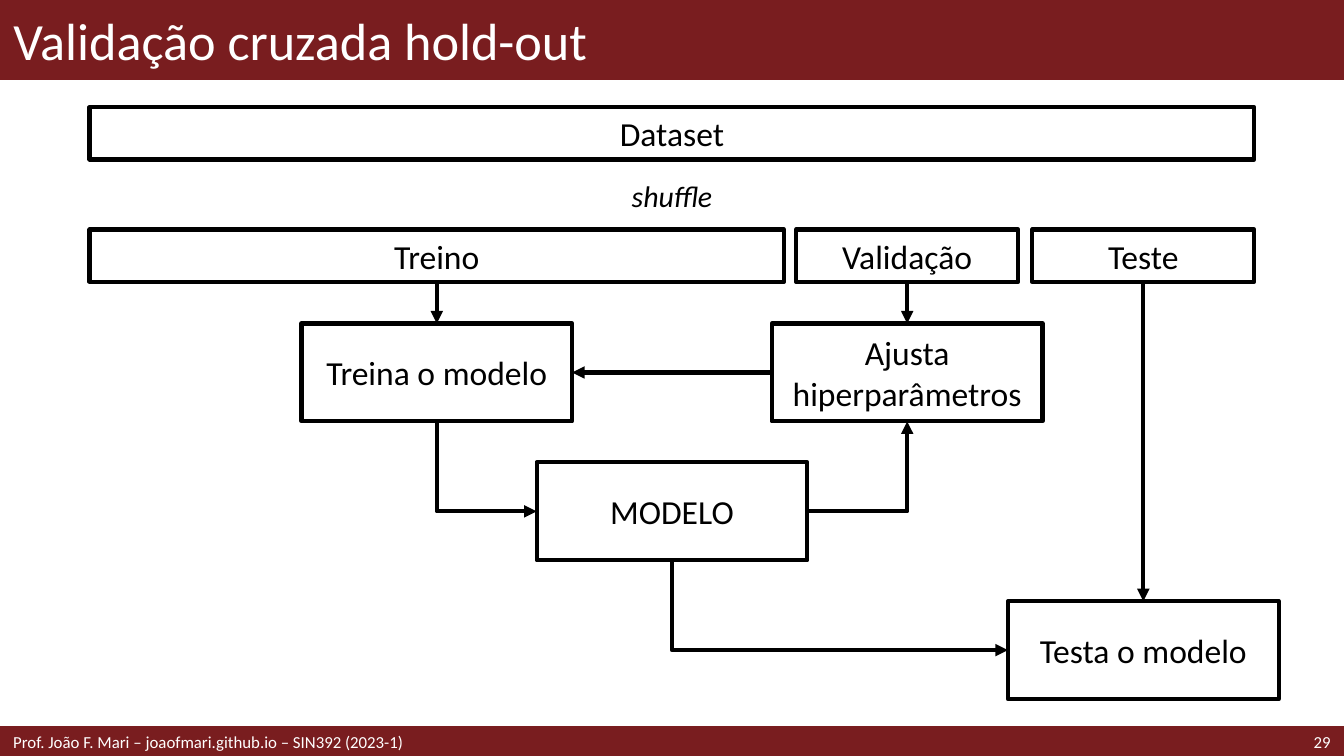
from lxml.etree import SubElement
from pptx import Presentation
from pptx.dml.color import RGBColor
from pptx.enum.shapes import MSO_CONNECTOR as Link, MSO_SHAPE as Shape
from pptx.enum.text import MSO_ANCHOR as Anchor, MSO_AUTO_SIZE as Fit, PP_ALIGN as Align
from pptx.oxml.ns import qn
from pptx.util import Pt

WINE = RGBColor(0x79, 0x1D, 0x1F)
WHITE = RGBColor(0xFF, 0xFF, 0xFF)
BLACK = RGBColor(0, 0, 0)

WIDE, HIGH = 720, 405
HEAD, FOOT = 42.5, 15      # band heights
LEFT, SPAN = 48, 624       # data bars
BAR = 28                   # bar height
STEP_W, STEP_H = 145, 52.5  # step boxes
ROW, PITCH = 173.3, 74.4   # first step row, row distance
TOP, LEFT_SIDE, BOTTOM, RIGHT = range(4)


def write(shape, text, size=18, color=BLACK, align=Align.CENTER, italic=False, wrap=True):
    frame = shape.text_frame
    frame.text = text
    frame.auto_size = Fit.NONE
    frame.word_wrap = wrap
    frame.vertical_anchor = Anchor.MIDDLE
    para = frame.paragraphs[0]
    para.alignment = align
    font = para.runs[0].font
    font.name, font.size, font.italic = "Calibri", Pt(size), italic
    font.color.rgb = color


def label(slide, text, x, y, w, h, **style):
    box = slide.shapes.add_textbox(Pt(x), Pt(y), Pt(w), Pt(h))
    write(box, text, **style)


def rect(slide, x, y, w, h, line, width):
    shape = slide.shapes.add_shape(Shape.RECTANGLE, Pt(x), Pt(y), Pt(w), Pt(h))
    shape.shadow.inherit = False
    shape.fill.background()
    shape.line.color.rgb = line
    shape.line.width = Pt(width)
    return shape


def band(slide, y, h, width):
    shape = rect(slide, 0, y, WIDE, h, WINE, width)
    shape.fill.solid()
    shape.fill.fore_color.rgb = WINE


def bar(slide, text, x, y, w):
    shape = rect(slide, x, y, w, BAR, BLACK, 2.25)
    write(shape, text)
    return shape


def step(slide, text, mid, row):
    """Box centred on mid, in the given row of the flow."""
    shape = rect(slide, mid - STEP_W / 2, ROW + row * PITCH, STEP_W, STEP_H, BLACK, 2.25)
    write(shape, text)
    return shape


def join(slide, start, side, goal, port, bent=False, tip="tailEnd"):
    """Link two boxes; a bent link leaves its start sideways."""
    kind = Link.ELBOW if bent else Link.STRAIGHT
    link = slide.shapes.add_connector(kind, 0, 0, 0, 0)
    link.begin_connect(start, side)
    link.end_connect(goal, port)
    link.line.color.rgb = BLACK
    link.line.width = Pt(2.25)
    props = link._element.spPr
    if bent:
        props.find(qn("a:prstGeom")).set("prst", "bentConnector2")
    SubElement(props.find(qn("a:ln")), qn("a:" + tip), type="triangle")
    SubElement(props, qn("a:effectLst"))


def main():
    prs = Presentation()
    prs.slide_width, prs.slide_height = Pt(WIDE), Pt(HIGH)
    slide = prs.slides.add_slide(prs.slide_layouts[5])

    # Header and footer bands, behind the title
    band(slide, 0, HEAD, 1)
    band(slide, HIGH - FOOT, FOOT, 2)
    title = slide.shapes.title
    title.left, title.top, title.width, title.height = 0, 0, Pt(WIDE), Pt(HEAD)
    write(title, "Validação cruzada hold-out", size=28, color=WHITE, align=Align.LEFT)
    slide.shapes._spTree.append(title._element)
    small = {"size": 9, "color": WHITE}
    label(slide, "29", 638, HIGH - FOOT, 82, FOOT, align=Align.RIGHT, **small)
    label(slide, "Prof. João F. Mari – joaofmari.github.io – SIN392 (2023-1)",
          0, HIGH - FOOT, 496, FOOT, align=Align.LEFT, **small)

    # Data set and its three parts
    bar(slide, "Dataset", LEFT, 57.5, SPAN)
    label(slide, "shuffle", 330.5, 91.5, 59, 26.5, size=16, italic=True, wrap=False)
    train = bar(slide, "Treino", LEFT, 123, 372)
    valid = bar(slide, "Validação", 426.5, 123, 119)
    test = bar(slide, "Teste", 553, 123, 119)

    # Steps, each centred under its part
    fit = step(slide, "Treina o modelo", 234, 0)
    tune = step(slide, "Ajusta hiperparâmetros", 486, 0)
    model = step(slide, "MODELO", WIDE / 2, 1)
    check = step(slide, "Testa o modelo", 612.5, 2)

    # Straight arrows
    for part, goal in ((train, fit), (valid, tune), (test, check)):
        join(slide, part, BOTTOM, goal, TOP)
    join(slide, tune, LEFT_SIDE, fit, RIGHT)

    # Bent arrows
    join(slide, model, LEFT_SIDE, fit, BOTTOM, bent=True, tip="headEnd")
    join(slide, model, RIGHT, tune, BOTTOM, bent=True)
    join(slide, check, LEFT_SIDE, model, BOTTOM, bent=True, tip="headEnd")

    prs.save("out.pptx")


if __name__ == "__main__":
    main()
